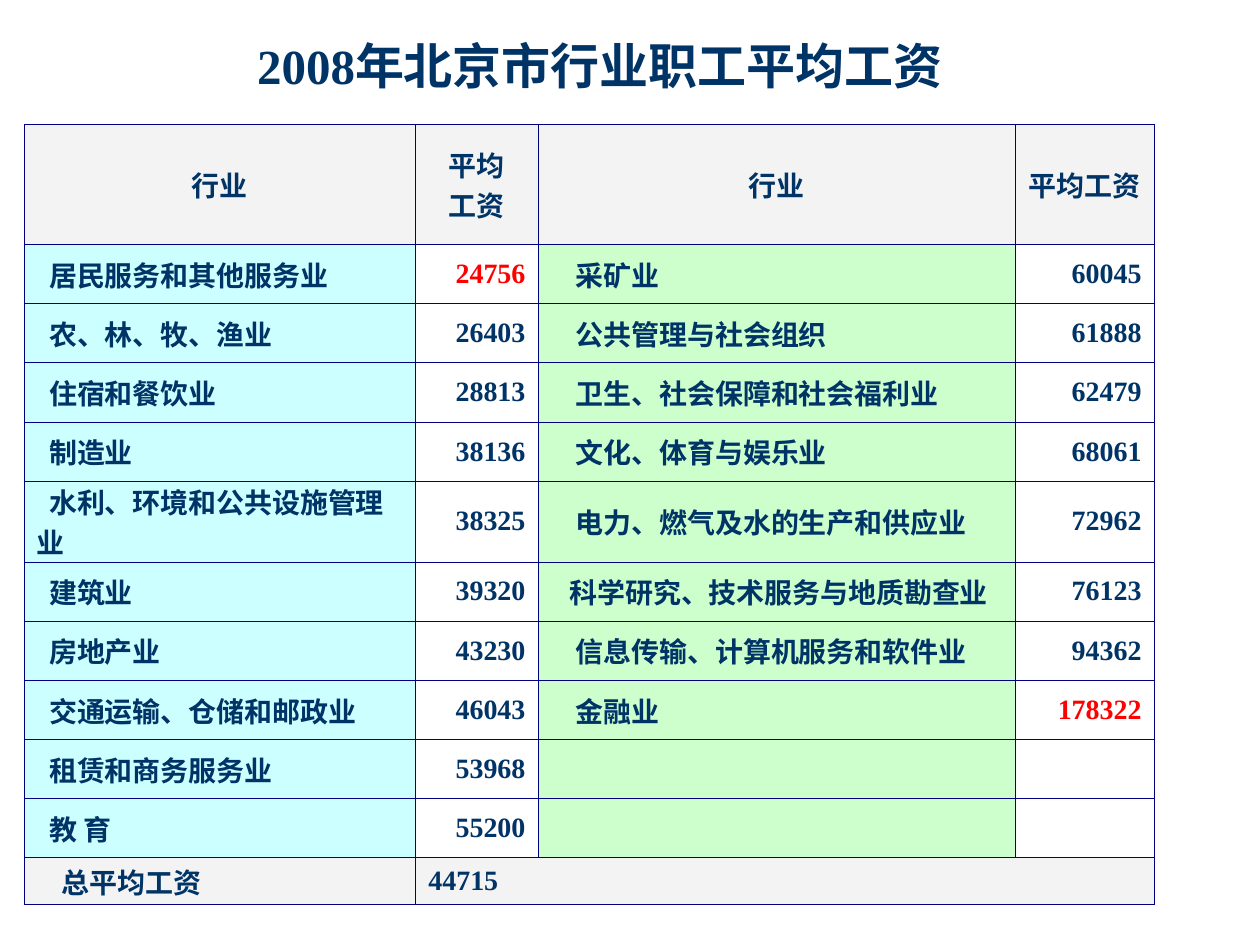
from lxml.etree import SubElement
from pptx import Presentation
from pptx.dml.color import RGBColor
from pptx.enum.text import MSO_ANCHOR, MSO_AUTO_SIZE, PP_ALIGN
from pptx.oxml.ns import qn
from pptx.util import Inches, Pt

NAVY = RGBColor(0x00, 0x33, 0x66)
RED = RGBColor(0xFF, 0x00, 0x00)
GREY = RGBColor(0xF3, 0xF3, 0xF3)
CYAN = RGBColor(0xCC, 0xFF, 0xFF)
GREEN = RGBColor(0xCC, 0xFF, 0xCC)
BORDER = RGBColor(0x00, 0x00, 0x80)

HEADERS = ["行业", "平均\n工资", "行业", "平均工资"]
LOW_WAGES = [
    ("居民服务和其他服务业", 24756),
    ("农、林、牧、渔业", 26403),
    ("住宿和餐饮业", 28813),
    ("制造业", 38136),
    ("水利、环境和公共设施管理业", 38325),
    ("建筑业", 39320),
    ("房地产业", 43230),
    ("交通运输、仓储和邮政业", 46043),
    ("租赁和商务服务业", 53968),
    ("教 育", 55200),
]
HIGH_WAGES = [
    ("采矿业", 60045),
    ("公共管理与社会组织", 61888),
    ("卫生、社会保障和社会福利业", 62479),
    ("文化、体育与娱乐业", 68061),
    ("电力、燃气及水的生产和供应业", 72962),
    ("科学研究、技术服务与地质勘查业", 76123),
    ("信息传输、计算机服务和软件业", 94362),
    ("金融业", 178322),
]
AVERAGE_WAGE = 44715
EXTREMES = {LOW_WAGES[0][1], HIGH_WAGES[-1][1]}

COLUMN_WIDTHS = [3.11, 0.97, 3.79, 1.1]
ROW_HEIGHTS = [0.95] + [0.47] * 4 + [0.64] + [0.47] * 5 + [0.37]
TWO_LINE_ROW = 5
TOTAL_ROW = len(ROW_HEIGHTS) - 1
LONG_NAME = 15


class WageSlide:
    font_name = "Times New Roman"
    title_size = Pt(28)
    cell_size = Pt(16)
    grid_columns, grid_rows = 100, 75

    def __init__(self, presentation):
        self.column = presentation.slide_width / self.grid_columns
        self.row = presentation.slide_height / self.grid_rows
        self.slide = presentation.slides.add_slide(presentation.slide_layouts[5])

    def place(self, left, top, width, height):
        """Turn grid columns and rows into lengths."""
        return (int(left * self.column), int(top * self.row),
                int(width * self.column), int(height * self.row))

    def style(self, paragraph, size, color, alignment):
        paragraph.alignment = alignment
        for run in paragraph.runs:
            run.font.name = self.font_name
            run.font.size = size
            run.font.bold = True
            run.font.color.rgb = color

    def title(self, text, *area):
        shape = self.slide.shapes.title
        shape.left, shape.top, shape.width, shape.height = self.place(*area)
        frame = shape.text_frame
        frame.text = text
        frame.word_wrap = False
        frame.auto_size = MSO_AUTO_SIZE.NONE
        frame.vertical_anchor = MSO_ANCHOR.TOP
        self.style(frame.paragraphs[0], self.title_size, NAVY, PP_ALIGN.CENTER)

    def table(self, column_widths, row_heights, *area):
        frame = self.slide.shapes.add_table(
            len(row_heights), len(column_widths), *self.place(*area))
        table = frame.table
        table.first_row = table.horz_banding = False
        for column, width in zip(table.columns, column_widths):
            column.width = Inches(width)
        for row, height in zip(table.rows, row_heights):
            row.height = Inches(height)
        for cell in table.iter_cells():
            self.borders(cell)
            cell.fill.background()
            cell.vertical_anchor = MSO_ANCHOR.MIDDLE
        return table

    def borders(self, cell):
        properties = cell._tc.get_or_add_tcPr()
        for side in ("a:lnL", "a:lnR", "a:lnT", "a:lnB"):
            line = SubElement(properties, qn(side), w=str(Pt(0.45)))
            fill = SubElement(line, qn("a:solidFill"))
            SubElement(fill, qn("a:srgbClr"), val=str(BORDER))

    def cell(self, cell, text="", fill=None, alignment=PP_ALIGN.LEFT,
             color=NAVY, indent=0):
        if fill is not None:
            cell.fill.solid()
            cell.fill.fore_color.rgb = fill
        cell.text_frame.text = text
        for paragraph in cell.text_frame.paragraphs:
            if indent:
                paragraph._p.get_or_add_pPr().set("indent", str(Inches(indent)))
            self.style(paragraph, self.cell_size, color, alignment)


def main():
    presentation = Presentation()
    presentation.slide_width = Inches(10)
    presentation.slide_height = Inches(7.5)
    page = WageSlide(presentation)

    page.title("2008年北京市行业职工平均工资", 12.6, 2.3, 70, 5.7)
    table = page.table(COLUMN_WIDTHS, ROW_HEIGHTS, 1.9, 9.9, 89.8, 61.8)

    # Header row
    for column, header in enumerate(HEADERS):
        page.cell(table.cell(0, column), header, GREY, PP_ALIGN.CENTER)

    # Industry and wage pairs, side by side
    for column, entries, fill, indent in ((0, LOW_WAGES, CYAN, 0.1),
                                          (2, HIGH_WAGES, GREEN, 0.2)):
        for row in range(1, TOTAL_ROW):
            page.cell(table.cell(row, column), fill=fill)
        for row, (industry, wage) in enumerate(entries, 1):
            page.cell(table.cell(row, column), industry, fill,
                      indent=0.15 if len(industry) >= LONG_NAME else indent)
            page.cell(table.cell(row, column + 1), str(wage),
                      alignment=PP_ALIGN.RIGHT,
                      color=RED if wage in EXTREMES else NAVY)

    # Overall average
    table.cell(TOTAL_ROW, 1).merge(table.cell(TOTAL_ROW, 3))
    page.cell(table.cell(TOTAL_ROW, 0), "总平均工资", GREY, indent=0.2)
    page.cell(table.cell(TOTAL_ROW, 1), str(AVERAGE_WAGE), GREY)

    # Tight margins keep the fullest rows at their set heights
    for row in (TWO_LINE_ROW, TOTAL_ROW):
        for cell in table.rows[row].cells:
            cell.margin_top = cell.margin_bottom = 0

    presentation.save("out.pptx")


if __name__ == "__main__":
    main()
